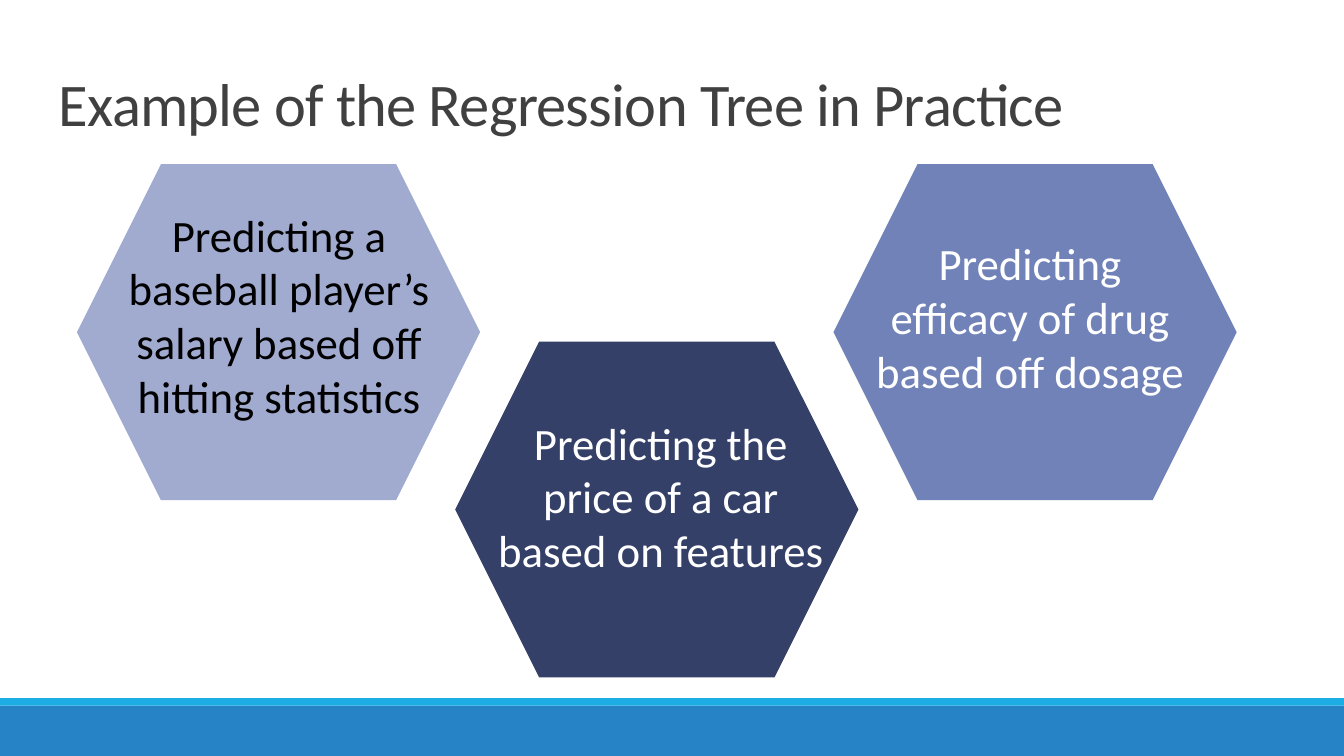
"""Build a slide with three hexagons showing uses of a regression tree."""
from pptx import Presentation
from pptx.dml.color import RGBColor as Color
from pptx.enum.shapes import MSO_SHAPE as Shape
from pptx.enum.text import MSO_ANCHOR as Anchor, PP_ALIGN as Align
from pptx.util import Pt

COLORS = {
    "band": "2683C6", "stripe": "1CADE4", "title": "404040",
    "pale": "A1ABD0", "medium": "7182B8", "navy": "344068",
    "black": "000000", "white": "FFFFFF",
}


def add_filled(page, kind, left, top, width, height, color):
    shape = page.shapes.add_shape(kind, Pt(left), Pt(top), Pt(width), Pt(height))
    shape.fill.solid()
    shape.fill.fore_color.rgb = Color.from_string(COLORS[color])
    shape.line.fill.background()
    shape.shadow.inherit = False


def add_text(page, text, left, top, width, height, size, color):
    box = page.shapes.add_textbox(Pt(left), Pt(top), Pt(width), Pt(height))
    box.text_frame.word_wrap = True
    box.text_frame.text = text
    para = box.text_frame.paragraphs[0]
    span = para.runs[0]
    span.font.name = "Calibri"
    span.font.size = Pt(size)
    span.font.color.rgb = Color.from_string(COLORS[color])
    return box.text_frame, para, span


deck = Presentation()
deck.slide_width, deck.slide_height = Pt(720), Pt(405)
page = deck.slides.add_slide(deck.slide_layouts[6])

add_filled(page, Shape.RECTANGLE, 0, 378, 720, 27, "band")
add_filled(page, Shape.RECTANGLE, 0, 374, 720, 4, "stripe")

frame, para, span = add_text(page, "Example of the Regression Tree in Practice",
                             24.5, 35.5, 671, 45, 32.4, "title")
frame.vertical_anchor = Anchor.MIDDLE
frame.margin_top = frame.margin_bottom = Pt(7.2)
para.line_spacing = 0.85
span.font._element.set("spc", "-40")

examples = [
    ("Predicting a baseball player’s salary based off hitting statistics",
     88, "pale", "black", (41, 107.5, 205, 124)),
    ("Predicting the price of a car based on features",
     183, "navy", "white", (245.5, 219, 205, 94.5)),
    ("Predicting efficacy of drug based off dosage",
     88, "medium", "white", (448.5, 123, 194.5, 94.5)),
]
for index, (text, top, fill, ink, area) in enumerate(examples):
    add_filled(page, Shape.HEXAGON, 41.25 + 202.65 * index, top, 216, 180, fill)
    frame, para, span = add_text(page, text, *area, 24, ink)
    para.alignment = Align.CENTER
    properties = para._p.get_or_add_pPr()
    properties.set("marL", str(Pt(12)))
    properties.set("indent", "0")

deck.save("out.pptx")
